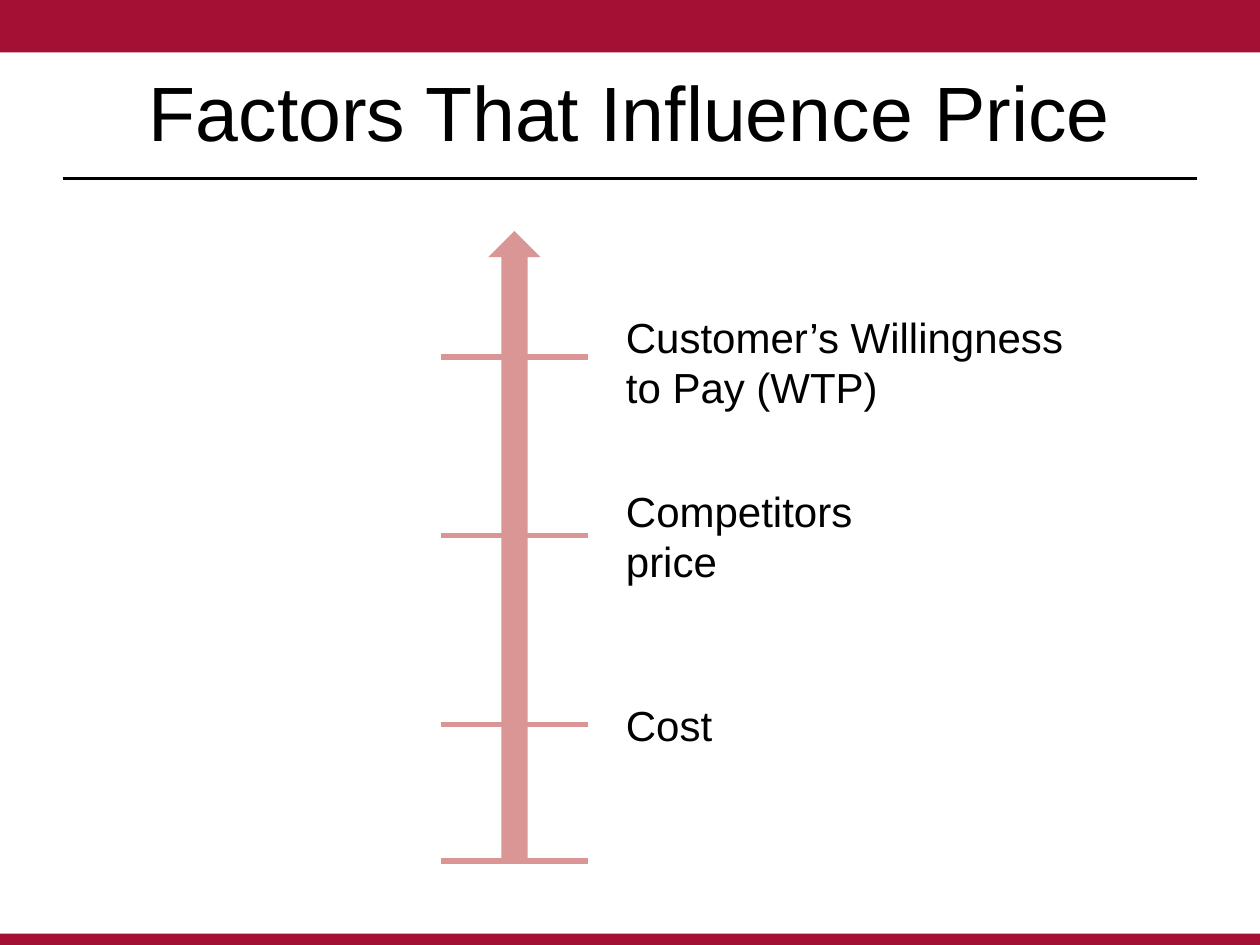
"""Build the slide on factors that influence price."""
import pptx
import pptx.util
import pptx.dml.color
import pptx.enum.shapes
import pptx.enum.text
import pptx.oxml.ns
import lxml.etree

Pt = pptx.util.Pt
SHAPE = pptx.enum.shapes.MSO_SHAPE
ANCHOR = pptx.enum.text.MSO_ANCHOR
ALIGN = pptx.enum.text.PP_ALIGN

CRIMSON, ROSE, BLACK = "A41034", "D99694", "000000"
WIDTH, HEIGHT = 720, 540
TITLE = "Factors That Influence Price"
BANDS = [(0, 30), (533.5, 6.5)]
AXIS = (279, 132, 30, 360)
TICK_LEFT, TICK_RIGHT, LABEL_LEFT = 252, 336, 350.6
FACTORS = [
    {"tick": 414, "top": 396, "size": (64, 36), "lines": ["Cost"]},
    {"tick": 306, "top": 273.6, "size": (145.5, 65.5), "lines": ["Competitors", "price"]},
    {"tick": 204, "top": 174.2, "size": (268.5, 65.5),
     "lines": ["Customer’s Willingness", "to Pay (WTP)"]},
]


def rgb(color):
    return pptx.dml.color.RGBColor.from_string(color)


def add_block(s, kind, box, color):
    sp = s.shapes.add_shape(kind, *map(Pt, box))
    sp.shadow.inherit = False
    sp.fill.solid()
    sp.fill.fore_color.rgb = rgb(color)
    sp.line.fill.background()
    return sp


def add_rule(s, left, right, y, color, weight):
    line = s.shapes.add_connector(
        pptx.enum.shapes.MSO_CONNECTOR.STRAIGHT, Pt(left), Pt(y), Pt(right), Pt(y))
    line.line.color.rgb = rgb(color)
    line.line.width = Pt(weight)
    lxml.etree.SubElement(line._element.spPr, pptx.oxml.ns.qn("a:effectLst"))


def add_text(s, box, lines, size, align=ALIGN.LEFT, anchor=ANCHOR.TOP, wrap=False):
    tf = s.shapes.add_textbox(*map(Pt, box)).text_frame
    tf.word_wrap = wrap
    tf.vertical_anchor = anchor
    for i, text in enumerate(lines):
        p = tf.paragraphs[0] if i == 0 else tf.add_paragraph()
        p.alignment = align
        r = p.add_run()
        r.text = text
        for name, value in {"name": "Arial", "size": Pt(size)}.items():
            setattr(r.font, name, value)
        r.font.color.rgb = rgb(BLACK)


def main():
    prs = pptx.Presentation()
    prs.slide_width, prs.slide_height = Pt(WIDTH), Pt(HEIGHT)
    s = prs.slides.add_slide(prs.slide_layouts[6])
    for top, height in BANDS:
        add_block(s, SHAPE.RECTANGLE, (0, top, WIDTH, height), CRIMSON)
    add_rule(s, 36, WIDTH - 36, 102, BLACK, 1.25)
    add_text(s, (36, 18, WIDTH - 72, 90), [TITLE], 44, ALIGN.CENTER, ANCHOR.MIDDLE, True)
    add_block(s, SHAPE.UP_ARROW, AXIS, ROSE)
    for factor in FACTORS:
        add_rule(s, TICK_LEFT, TICK_RIGHT, factor["tick"], ROSE, 3)
        add_text(s, (LABEL_LEFT, factor["top"], *factor["size"]), factor["lines"], 24)
    add_rule(s, TICK_LEFT, TICK_RIGHT, AXIS[1] + AXIS[3], ROSE, 3)
    prs.save("out.pptx")


if __name__ == "__main__":
    main()
